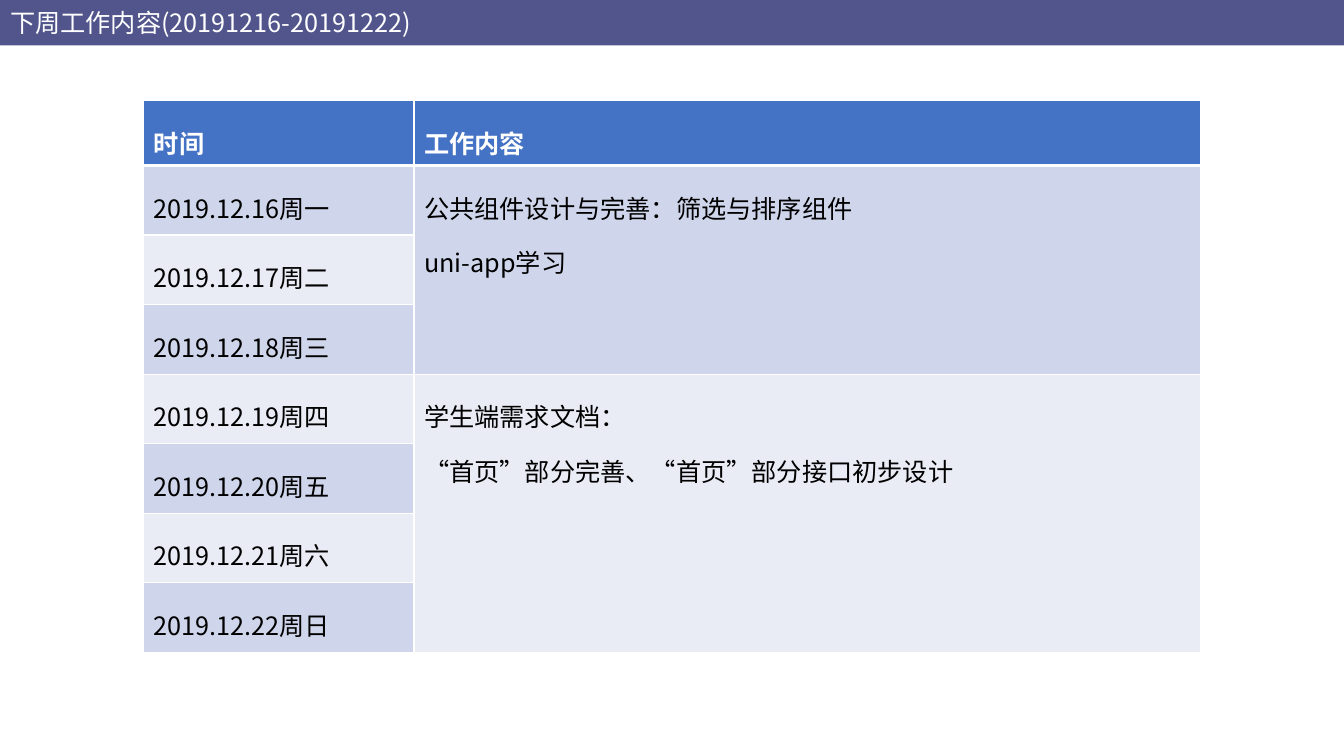
from dataclasses import dataclass

from lxml.etree import SubElement
from pptx import Presentation
from pptx.dml.color import RGBColor
from pptx.enum.text import MSO_ANCHOR, MSO_AUTO_SIZE, PP_ALIGN
from pptx.oxml.ns import qn
from pptx.util import Emu, Inches, Pt


@dataclass(frozen=True)
class Theme:
    font: str = "Noto Sans CJK SC"
    size: int = 18
    spacing: float = 1.5
    bar: str = "51558B"
    header: str = "4472C4"
    bands: tuple[str, str] = ("CFD5EA", "E9EBF5")
    light: str = "FFFFFF"
    dark: str = "000000"
    border: int = 1
    header_rule: int = 3


@dataclass(frozen=True)
class Task:
    days: tuple[str, ...]
    lines: tuple[str, ...]


THEME = Theme()
TITLE = "下周工作内容(20191216-20191222)"
HEADINGS = ("时间", "工作内容")
TASKS = (
    Task(("2019.12.16周一", "2019.12.17周二", "2019.12.18周三"),
         ("公共组件设计与完善：筛选与排序组件", "uni-app学习")),
    Task(("2019.12.19周四", "2019.12.20周五", "2019.12.21周六", "2019.12.22周日"),
         ("学生端需求文档：", "“首页”部分完善、“首页”部分接口初步设计")),
)

# The slide is a grid of 100 columns by 100 rows
SLIDE_W, SLIDE_H = Inches(13.333), Inches(7.5)
BAR_ROWS = 6
TABLE_TOP = 13.33
TABLE_COLS = (20.1, 58.5)
HEADER_ROWS, DAY_ROWS = 5.6, 9.2


def cols(n: float) -> Emu:
    return Emu(round(SLIDE_W * n / 100))


def rows(n: float) -> Emu:
    return Emu(round(SLIDE_H * n / 100))


def style_text(tf, color: str, bold: bool = False, spacing: float = 1.0) -> None:
    for p in tf.paragraphs:
        p.alignment = PP_ALIGN.LEFT
        p.line_spacing = spacing
        for r in p.runs:
            r.font.size = Pt(THEME.size)
            r.font.bold = bold
            r.font.color.rgb = RGBColor.from_string(color)
            r.font.name = THEME.font
            SubElement(r.font._element, qn("a:ea"), typeface=THEME.font)


def add_border(cell, side: str, width: int) -> None:
    tc_pr = cell._tc.get_or_add_tcPr()
    ln = SubElement(tc_pr, qn(f"a:ln{side}"), w=str(Pt(width)))
    fill = SubElement(ln, qn("a:solidFill"))
    SubElement(fill, qn("a:srgbClr"), val=THEME.light)


def style_cell(cell, row: int) -> None:
    is_header = row == 0
    widths = {"L": THEME.border, "R": THEME.border,
              "T": THEME.header_rule if row == 1 else THEME.border,
              "B": THEME.header_rule if is_header else THEME.border}
    for side, width in widths.items():
        add_border(cell, side, width)
    color = THEME.header if is_header else THEME.bands[(row - 1) % 2]
    cell.fill.solid()
    cell.fill.fore_color.rgb = RGBColor.from_string(color)
    style_text(cell.text_frame, THEME.light if is_header else THEME.dark,
               is_header, THEME.spacing)


def add_title(slide) -> None:
    sp = slide.shapes.title
    sp.left, sp.top, sp.width, sp.height = cols(0), rows(0), cols(100), rows(BAR_ROWS)
    # Slightly rounded corners
    geom = SubElement(sp.element.spPr, qn("a:prstGeom"), prst="roundRect")
    guides = SubElement(geom, qn("a:avLst"))
    SubElement(guides, qn("a:gd"), name="adj", fmla="val 2700")
    sp.fill.solid()
    sp.fill.fore_color.rgb = RGBColor.from_string(THEME.bar)
    tf = sp.text_frame
    tf.text = TITLE
    tf.auto_size = MSO_AUTO_SIZE.NONE
    tf.vertical_anchor = MSO_ANCHOR.MIDDLE
    style_text(tf, THEME.light)


def add_schedule(slide) -> None:
    day_count = sum(len(task.days) for task in TASKS)
    width = sum(TABLE_COLS)
    table = slide.shapes.add_table(
        day_count + 1, len(TABLE_COLS), cols((100 - width) / 2), rows(TABLE_TOP),
        cols(width), rows(HEADER_ROWS + day_count * DAY_ROWS)).table
    for column, share in zip(table.columns, TABLE_COLS):
        column.width = cols(share)
    for i, row in enumerate(table.rows):
        row.height = rows(DAY_ROWS if i else HEADER_ROWS)

    # Wording: one row per day, one merged cell per task
    for i, heading in enumerate(HEADINGS):
        table.cell(0, i).text = heading
    first = 1
    for task in TASKS:
        last = first + len(task.days) - 1
        for i, day in enumerate(task.days, first):
            table.cell(i, 0).text = day
        table.cell(first, 1).merge(table.cell(last, 1))
        table.cell(first, 1).text = "\n".join(task.lines)
        first = last + 1

    # Fills, borders and type
    for i, row in enumerate(table.rows):
        for cell in row.cells:
            style_cell(cell, i)


def main() -> None:
    prs = Presentation()
    prs.slide_width, prs.slide_height = SLIDE_W, SLIDE_H
    slide = prs.slides.add_slide(prs.slide_layouts[5])
    add_schedule(slide)
    add_title(slide)
    prs.save("out.pptx")


if __name__ == "__main__":
    main()
